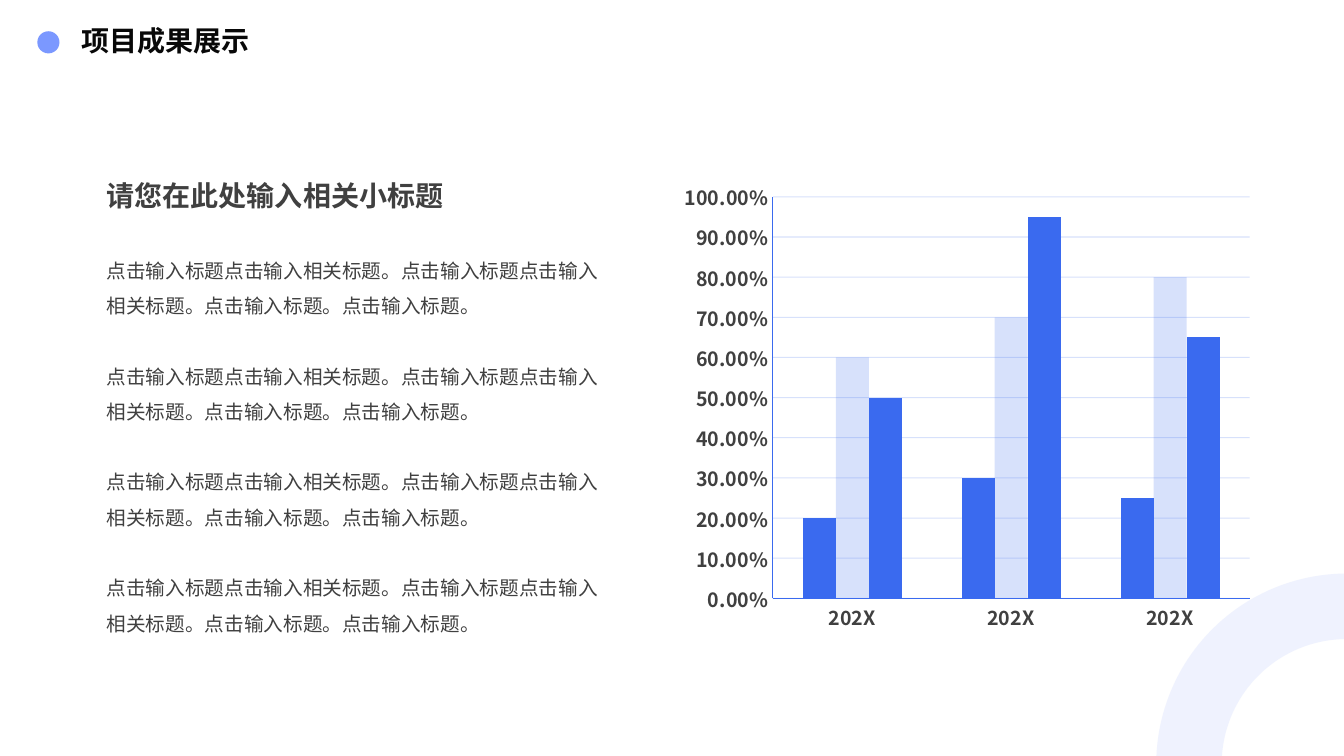
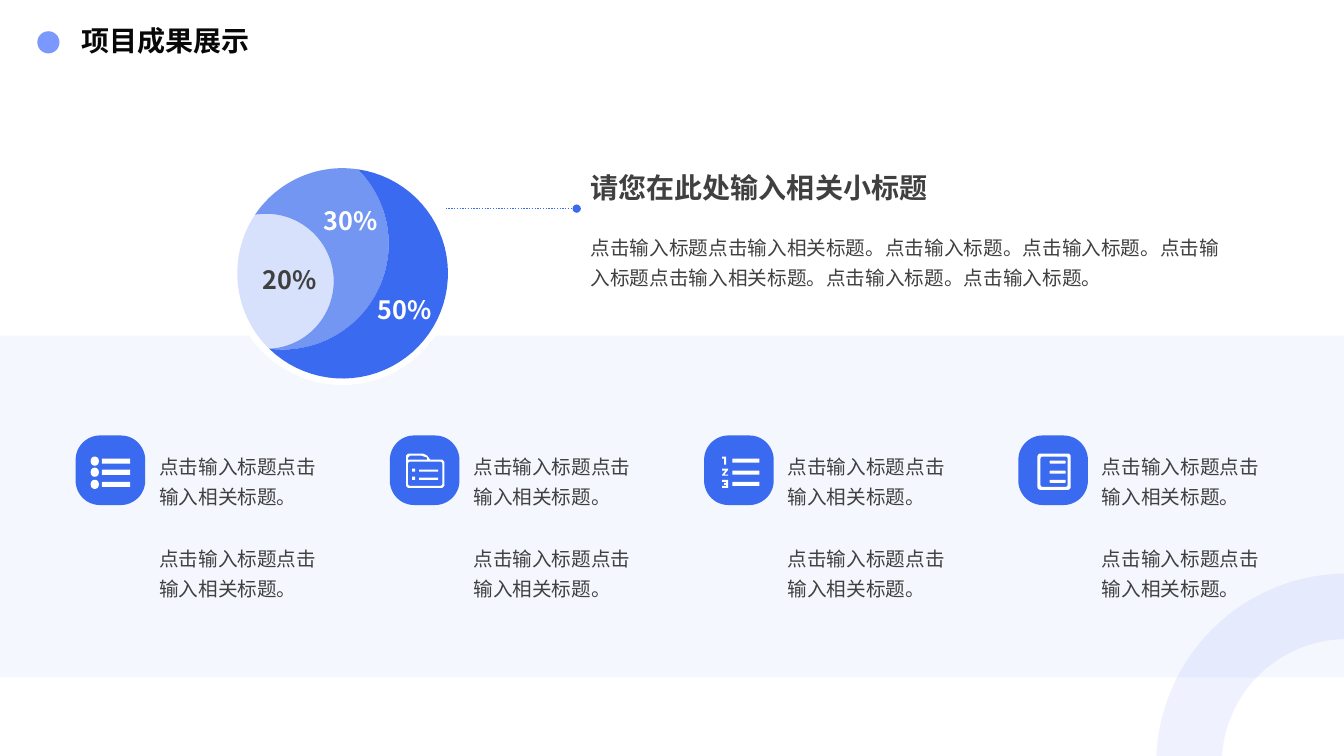
import math
from dataclasses import dataclass
from typing import Any

import pptx
import pptx.chart.data
import pptx.dml.color
import pptx.enum.chart
import pptx.enum.dml
import pptx.enum.shapes
import pptx.enum.text
import pptx.oxml
import pptx.oxml.ns
import pptx.util

Color = pptx.dml.color.RGBColor
Kind = pptx.enum.shapes.MSO_SHAPE
Anchor = pptx.enum.text.MSO_ANCHOR
Point = tuple[float, float]
Path = list[Point]
qn = pptx.oxml.ns.qn

# Colours and type
BLUE = Color(0x3A, 0x6A, 0xEF)
DOT = Color(0x7B, 0x98, 0xFF)
RING = Color(0x97, 0xAD, 0xFC)
WHITE = Color(0xFF, 0xFF, 0xFF)
BLACK = Color(0x08, 0x08, 0x08)
GREY = Color(0x40, 0x40, 0x40)
FACE = "Noto Sans CJK SC"

# The grid: square cells, 13.33 columns by 7.5 rows
COLS, ROWS = 13.33, 7.5
CELL = pptx.util.Inches(1)

HEAD = "请您在此处输入相关小标题"
ASK = "点击输入标题。"
PAIR = "点击输入标题点击输入相关标题。"


@dataclass(frozen=True)
class Area:
    col: float
    row: float
    cols: float
    rows: float

    def emu(self) -> list[int]:
        return [grid(n) for n in (self.col, self.row, self.cols, self.rows)]


@dataclass(frozen=True)
class Style:
    size: float
    color: Color
    bold: bool = False
    lead: float = 0
    anchor: Any = Anchor.TOP
    wrap: bool = True


@dataclass(frozen=True)
class Label:
    text: str
    col: float
    row: float
    color: Color


TITLE = Style(20, BLACK, True, 15)
SUB = Style(20, GREY, True, 24, wrap=False)
SIDE = Style(20, GREY, True, 24, Anchor.MIDDLE)
BODY = Style(14, GREY, lead=25.2)
NOTE = Style(14, GREY, lead=21.9, anchor=Anchor.MIDDLE)


def grid(n: float) -> int:
    return round(n * CELL)


def assign(target: Any, values: dict[str, Any]) -> None:
    for name, value in values.items():
        setattr(target, name, value)


def fade(node: Any, share: int) -> None:
    """Make the first colour inside the node partly clear."""
    color = next(node.iter(qn("a:srgbClr")))
    alpha = color.makeelement(qn("a:alpha"), {"val": str(share * 1000)})
    color.append(alpha)


def paint(shape: Any, color: Color, share: int = 100) -> None:
    shape.shadow.inherit = False
    shape.fill.solid()
    shape.fill.fore_color.rgb = color
    shape.line.fill.background()
    if share < 100:
        fade(shape.element, share)


def block(slide: Any, kind: Any, area: Area, color: Color, share: int = 100) -> Any:
    shape = slide.shapes.add_shape(kind, *area.emu())
    paint(shape, color, share)
    return shape


def write(slide: Any, area: Area, lines: list[str], style: Style) -> None:
    box = slide.shapes.add_textbox(*area.emu())
    frame = box.text_frame
    assign(frame, {"word_wrap": style.wrap, "vertical_anchor": style.anchor})
    lead = pptx.util.Pt(style.lead)
    for i, line in enumerate(lines):
        para = frame.paragraphs[0] if i == 0 else frame.add_paragraph()
        para.line_spacing = lead
        if i:
            para.space_before = lead
        run = para.add_run()
        run.text = line
        assign(run.font, {"size": pptx.util.Pt(style.size),
                          "bold": style.bold, "name": FACE})
        run.font.color.rgb = style.color
    for latin in list(box.element.iter(qn("a:latin"))):
        latin.addnext(latin.makeelement(qn("a:ea"), {"typeface": FACE}))


# Outlines
def arc(mid: Point, start: Point, end: Point, back: bool = False) -> Path:
    """Points along an arc from start to end, clockwise unless back."""
    if back:
        return arc(mid, end, start)[::-1]
    turns = [math.atan2(y - mid[1], x - mid[0]) for x, y in (start, end)]
    sweep = (turns[1] - turns[0]) % math.tau
    near, far = math.dist(mid, start), math.dist(mid, end)
    steps = 48
    path = []
    for i in range(steps + 1):
        turn = turns[0] + sweep * i / steps
        reach = near + (far - near) * i / steps
        path.append((mid[0] + reach * math.cos(turn),
                     mid[1] + reach * math.sin(turn)))
    return path


def box(x: float, y: float, w: float, h: float, r: float = 0) -> Path:
    """A rectangle with rounded corners."""
    if not r:
        return [(x, y), (x + w, y), (x + w, y + h), (x, y + h)]
    hubs = [(x + w - r, y + r), (x + w - r, y + h - r),
            (x + r, y + h - r), (x + r, y + r)]
    path = []
    for i, (cx, cy) in enumerate(hubs):
        for step in range(7):
            turn = math.radians(90 * (i - 1) + 15 * step)
            path.append((cx + r * math.cos(turn), cy + r * math.sin(turn)))
    return path


def trace(slide: Any, paths: list[Path], color: Color, share: int = 100,
          shift: Point = (0, 0)) -> None:
    form = None
    for path in paths:
        first, *rest = [(grid(x + shift[0]), grid(y + shift[1])) for x, y in path]
        if form is None:
            form = slide.shapes.build_freeform(*first)
        else:
            form.move_to(*first)
        form.add_line_segments(rest, close=True)
    paint(form.convert_to_shape(), color, share)


# Icons, measured from the corner of their tile
LIST = [part for y in (0.21, 0.32, 0.44)
        for part in (box(0.15, y, 0.08, 0.09, 0.04),
                     box(0.26, y + 0.02, 0.28, 0.05))]
FOLDER = [
    [(0.18, 0.18), (0.33, 0.18), (0.37, 0.2), (0.4, 0.24), (0.52, 0.24),
     (0.54, 0.26), (0.54, 0.5), (0.52, 0.52), (0.18, 0.52), (0.16, 0.5),
     (0.16, 0.2)],
    [(0.2, 0.2), (0.31, 0.2), (0.37, 0.22), (0.37, 0.24), (0.18, 0.24), (0.18, 0.22)],
    box(0.18, 0.26, 0.34, 0.24, 0.02),
    *[part for y in (0.33, 0.41)
      for part in (box(0.22, y, 0.03, 0.03), box(0.29, y + 0.01, 0.19, 0.02))],
]
COUNT = [
    [(0.18, 0.21), (0.22, 0.21), (0.22, 0.29), (0.2, 0.29), (0.2, 0.23), (0.18, 0.23)],
    [(0.18, 0.33), (0.24, 0.33), (0.24, 0.34), (0.2, 0.39), (0.24, 0.39),
     (0.24, 0.4), (0.18, 0.4), (0.18, 0.39), (0.21, 0.35), (0.18, 0.35)],
    [(0.18, 0.44), (0.24, 0.44), (0.24, 0.52), (0.18, 0.52), (0.18, 0.5),
     (0.22, 0.5), (0.22, 0.49), (0.2, 0.49), (0.2, 0.47), (0.22, 0.47),
     (0.22, 0.46), (0.18, 0.46)],
    *[box(0.28, y, 0.27, 0.04) for y in (0.23, 0.35, 0.46)],
]
SHEET = [box(0.19, 0.18, 0.33, 0.36, 0.03), box(0.22, 0.21, 0.27, 0.3, 0.02),
         *[box(0.31, y, 0.16, 0.03, 0.01) for y in (0.25, 0.35, 0.44)]]


def start(deck: Any) -> Any:
    """Add a slide with the shared corner ring, dot and title."""
    slide = deck.slides.add_slide(deck.slide_layouts[6])
    hub = (13.36, 7.58)
    ring = (arc(hub, (11.47, ROWS), (COLS, 5.69))
            + arc(hub, (COLS, 6.34), (12.12, ROWS), back=True))
    trace(slide, [ring], RING, 15)
    block(slide, Kind.OVAL, Area(0.37, 0.31, 0.22, 0.22), DOT)
    write(slide, Area(0.71, 0.31, 2.33, 0.33), ["项目成果展示"], TITLE)
    return slide


def plot(slide: Any, area: Area) -> None:
    data = pptx.chart.data.CategoryChartData(number_format="0.00%")
    data.categories = ["202X"] * 3
    rows = [(0.2, 0.3, 0.25), (0.6, 0.7, 0.8), (0.5, 0.95, 0.65)]
    for i, row in enumerate(rows, 1):
        data.add_series(f"Series {i}", row)
    kind = pptx.enum.chart.XL_CHART_TYPE.COLUMN_CLUSTERED
    chart = slide.shapes.add_chart(kind, *area.emu(), data).chart
    assign(chart, {"has_legend": False, "has_title": False})
    assign(chart.font, {"name": FACE, "size": pptx.util.Pt(10)})
    assign(chart.plots[0], {"gap_width": 182, "overlap": 0, "vary_by_categories": False})
    for series in chart.plots[0].series:
        series.format.fill.solid()
        series.format.fill.fore_color.rgb = BLUE
    fade(list(chart.element.iter(qn("c:ser")))[1], 20)

    # Axes and grid lines
    none = pptx.enum.chart.XL_TICK_MARK.NONE
    for axis in (chart.category_axis, chart.value_axis):
        assign(axis, {"major_tick_mark": none, "minor_tick_mark": none})
        assign(axis.tick_labels.font, {"name": FACE, "size": pptx.util.Pt(14), "bold": True})
        axis.tick_labels.font.color.rgb = GREY
        axis.format.line.color.rgb = BLUE
        axis.format.line.width = pptx.util.Pt(0.75)
    scale = chart.value_axis
    assign(scale, {"minimum_scale": 0, "maximum_scale": 1, "major_unit": 0.1,
                   "has_major_gridlines": True})
    assign(scale.tick_labels, {"number_format": "0.00%", "number_format_is_linked": False})
    line = scale.major_gridlines.format.line
    line.color.rgb = BLUE
    line.width = pptx.util.Pt(0.75)
    fade(next(chart.element.iter(qn("c:majorGridlines"))), 20)


def disc(slide: Any) -> None:
    """A disc cut into three parts by two arcs."""
    base = block(slide, Kind.OVAL, Area(2.35, 1.66, 2.09, 2.09), WHITE)
    base.line.color.rgb = WHITE
    base.line.width = pptx.util.Pt(10)
    hub, mid, low = (3.4, 2.71), (2.81, 2.41), (2.64, 2.79)
    top, foot, left = (3.55, 1.68), (2.67, 3.46), (2.53, 2.13)
    trace(slide, [arc(hub, left, top) + arc(mid, top, foot)
                  + arc(low, foot, left, back=True)], BLUE, 70)
    trace(slide, [arc(hub, top, foot) + arc(mid, foot, top, back=True)], BLUE)
    trace(slide, [arc(low, left, foot) + arc(hub, foot, left)], BLUE, 20)


def lead(slide: Any) -> None:
    """The dotted line from the disc to its heading."""
    row = grid(2.07)
    link = slide.shapes.add_connector(pptx.enum.shapes.MSO_CONNECTOR.STRAIGHT,
                                      grid(4.42), row, grid(5.72), row)
    link.line.color.rgb = BLUE
    assign(link.line, {"width": pptx.util.Pt(1),
                       "dash_style": pptx.enum.dml.MSO_LINE.ROUND_DOT})
    line = next(link.element.iter(qn("a:ln")))
    line.append(line.makeelement(qn("a:tailEnd"), {"type": "oval"}))
    line.addnext(line.makeelement(qn("a:effectLst"), {}))


def bars(deck: Any) -> None:
    slide = start(deck)
    write(slide, Area(0.96, 2.4, 5.21, 3.95), [PAIR * 2 + ASK * 2] * 4, BODY)
    write(slide, Area(0.96, 1.72, 3.65, 0.44), [HEAD], SUB)
    plot(slide, Area(6.67, 1.72, 5.84, 4.63))


def share(deck: Any) -> None:
    slide = start(deck)
    block(slide, Kind.RECTANGLE, Area(0, 3.33, COLS, 3.39), BLUE, 5)
    disc(slide)
    lead(slide)
    write(slide, Area(5.76, 2.1, 6.45, 0.94), [(PAIR + ASK * 2) * 2], NOTE)
    write(slide, Area(5.76, 1.62, 4.34, 0.48), [HEAD], SIDE)

    # Four tiles at an even pitch
    for i, icon in enumerate([LIST, FOLDER, COUNT, SHEET]):
        col, row = 0.75 + i * 9.35 / 3, 4.32
        write(slide, Area(col + 0.73, 4.34, 1.78, 1.72), [PAIR] * 2, NOTE)
        tile = block(slide, Kind.ROUNDED_RECTANGLE, Area(col, row, 0.69, 0.69), BLUE)
        tile.adjustments[0] = 0.35
        trace(slide, icon, WHITE, shift=(col, row))

    # Shares on the disc
    for tag in (Label("30%", 3.11, 1.99, WHITE), Label("20%", 2.51, 2.57, GREY),
                Label("50%", 3.65, 2.87, WHITE)):
        style = Style(18, tag.color, True, 21.6, wrap=False)
        write(slide, Area(tag.col, tag.row, 0.75, 0.4), [tag.text], style)


def main() -> None:
    deck = pptx.Presentation()
    assign(deck, {"slide_width": grid(COLS), "slide_height": grid(ROWS)})
    bars(deck)
    share(deck)
    deck.save("out.pptx")


if __name__ == "__main__":
    main()
